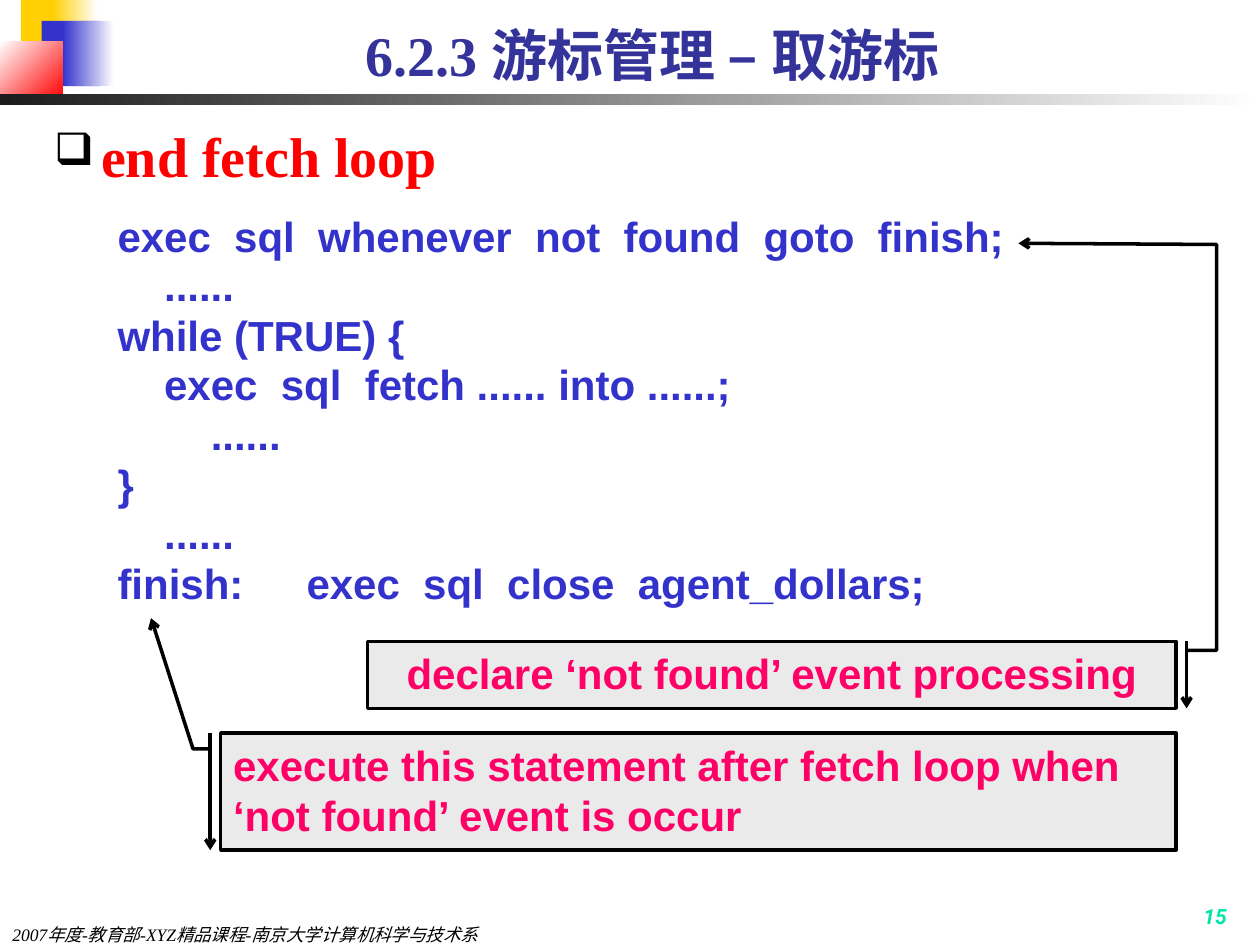
from dataclasses import dataclass
from typing import Optional

import pptx
import pptx.dml.color
import pptx.enum.shapes
import pptx.enum.text
import pptx.oxml
import pptx.oxml.ns
import pptx.util

Cm, Pt = pptx.util.Cm, pptx.util.Pt
SHAPE = pptx.enum.shapes.MSO_SHAPE
ALIGN = pptx.enum.text.PP_ALIGN
ANCHOR = pptx.enum.text.MSO_ANCHOR
qn = pptx.oxml.ns.qn

COLORS = {
    "white": "FFFFFF", "black": "000000", "yellow": "FFCF01",
    "blue": "3333CC", "red": "FF0000", "charcoal": "1C1C1C",
    "title": "333399", "number": "00E4A8", "pink": "FF0066", "gray": "EAEAEA",
}
TAB = Cm(3.48)
INDENT = 0.94  # cm per code level


@dataclass
class Box:
    left: float
    top: float
    width: float
    height: float

    def lengths(self) -> list:
        return [Cm(v) for v in (self.left, self.top, self.width, self.height)]


@dataclass
class Band:
    box: Box
    start: str
    end: Optional[str] = None
    angle: int = 0


@dataclass
class Style:
    size: int
    color: str
    font: str = "Arial"
    bold: bool = True
    italic: bool = False
    align: ALIGN = ALIGN.LEFT
    space_before: int = 0  # percent
    line_spacing: Optional[float] = None


@dataclass
class Callout:
    box: Box
    kind: SHAPE
    leader: tuple
    text: str
    align: ALIGN


def rgb(name: str) -> pptx.dml.color.RGBColor:
    return pptx.dml.color.RGBColor.from_string(COLORS[name])


def add_xml(parent, tag: str, **attributes):
    child = pptx.oxml.parse_xml(f"<a:{tag} {pptx.oxml.ns.nsdecls('a')}/>")
    for key, value in attributes.items():
        child.set(key, str(value))
    parent.append(child)
    return child


def draw_band(slide, band: Band) -> None:
    shape = slide.shapes.add_shape(SHAPE.RECTANGLE, *band.box.lengths())
    shape.shadow.inherit = False
    shape.line.fill.background()
    if band.end is None:
        shape.fill.solid()
        shape.fill.fore_color.rgb = rgb(band.start)
        return
    shape.fill.gradient()
    shape.fill.gradient_angle = (360 - band.angle) % 360
    for stop, color, position in zip(shape.fill.gradient_stops, (band.start, band.end), (0, 1)):
        stop.color.rgb = rgb(color)
        stop.position = position


def write_text(shape, text: str, style: Style, anchor: ANCHOR = ANCHOR.TOP) -> None:
    frame = shape.text_frame
    frame.text = text
    frame.word_wrap = True
    frame.vertical_anchor = anchor
    for paragraph in frame.paragraphs:
        paragraph.alignment = style.align
        paragraph.line_spacing = style.line_spacing
        if style.space_before:
            paragraph.space_before = Pt(0)
            before = paragraph._p.pPr.find(qn("a:spcBef"))
            before.remove(before[0])
            add_xml(before, "spcPct", val=style.space_before * 1000)
        for run in paragraph.runs:
            font = run.font
            font.name, font.size = style.font, Pt(style.size)
            font.bold, font.italic = style.bold, style.italic
            font.color.rgb = rgb(style.color)


def draw_text(slide, box: Box, text: str, style: Style, anchor: ANCHOR = ANCHOR.TOP):
    shape = slide.shapes.add_textbox(*box.lengths())
    write_text(shape, text, style, anchor)
    return shape


def draw_code(slide, box: Box, lines: list, style: Style) -> None:
    code = draw_text(slide, box, "\n".join(text for _, text in lines), style)
    code.fill.solid()
    code.fill.fore_color.rgb = rgb("white")
    for paragraph, (level, text) in zip(code.text_frame.paragraphs, lines):
        properties = paragraph._p.get_or_add_pPr()
        properties.set("marL", str(Cm(level * INDENT)))
        properties.set("indent", "0")
        if "\t" in text:
            add_xml(add_xml(properties, "tabLst"), "tab", pos=TAB, algn="l")


def draw_callout(slide, callout: Callout) -> None:
    shape = slide.shapes.add_shape(callout.kind, *callout.box.lengths())
    shape.shadow.inherit = False
    for index, value in enumerate(callout.leader):
        shape.adjustments[index] = value
    shape.fill.solid()
    shape.fill.fore_color.rgb = rgb("gray")
    shape.line.color.rgb = rgb("black")
    shape.line.width = Pt(2)
    add_xml(shape.line._get_or_add_ln(), "tailEnd", type="arrow")
    write_text(shape, callout.text, Style(24, "pink", align=callout.align, space_before=50))


BANDS = [
    Band(Box(0.42, 0, 1.22, 1.32), "yellow"),
    Band(Box(1.06, 0, 0.91, 1.32), "yellow", "white"),
    Band(Box(0.84, 0.42, 1.17, 1.32), "blue"),
    Band(Box(1.27, 0.42, 1.02, 1.32), "blue", "white"),
    Band(Box(0, 0.84, 1.27, 1.17), "white", "red", 45),
    Band(Box(0, 1.9, 25.4, 0.21), "charcoal", "white"),
]
# Indent level and text of each code line
CODE = [
    (0, "exec  sql  whenever  not  found  goto  finish;"),
    (1, "......"),
    (0, "while (TRUE) {"),
    (1, "exec  sql  fetch ...... into ......;"),
    (2, "......"),
    (0, "}"),
    (1, "......"),
    (0, "finish:\texec  sql  close  agent_dollars;"),
]
CALLOUTS = [
    Callout(Box(7.41, 12.93, 16.3, 1.35), SHAPE.LINE_CALLOUT_3_BORDER_AND_ACCENT_BAR,
            (0.135, 1.013, 0.135, 1.05, -5.927, 1.05, -5.944, 0.805),
            "declare ‘not found’ event processing", ALIGN.CENTER),
    Callout(Box(4.45, 14.78, 19.26, 2.36), SHAPE.LINE_CALLOUT_2_BORDER_AND_ACCENT_BAR,
            (0.135, -0.011, 0.135, -0.029, -0.983, -0.073),
            "execute this statement after fetch loop when ‘not found’ event is occur", ALIGN.LEFT),
]


def main() -> None:
    deck = pptx.Presentation()
    deck.slide_width, deck.slide_height = Cm(25.4), Cm(19.05)
    slide = deck.slides.add_slide(deck.slide_layouts[6])

    # Corner squares and header rule
    for band in BANDS:
        draw_band(slide, band)

    # Slide number and footer
    draw_text(slide, Box(19.69, 18.2, 5.29, 0.64), "15",
              Style(12, "number", "Roboto", italic=True, align=ALIGN.RIGHT), ANCHOR.BOTTOM)
    footer = draw_text(slide, Box(0, 18.63, 13.97, 0.42),
                       "2007年度-教育部-XYZ精品课程-南京大学计算机科学与技术系",
                       Style(10, "black", "Times New Roman", bold=False, italic=True))
    footer.text_frame.margin_top = footer.text_frame.margin_bottom = 0

    # Title and bulleted heading
    draw_text(slide, Box(2.33, 0.42, 21.64, 1.48), "6.2.3 游标管理 – 取游标",
              Style(32, "title", "Times New Roman", align=ALIGN.CENTER), ANCHOR.BOTTOM)
    heading = draw_text(slide, Box(0.84, 2.33, 21.59, 15.03), "end fetch loop",
                        Style(32, "red", "Times New Roman", space_before=20))
    bullet = heading.text_frame.paragraphs[0]._p.get_or_add_pPr()
    bullet.set("marL", str(Cm(0.95)))
    bullet.set("indent", str(-Cm(0.95)))
    add_xml(add_xml(bullet, "buClr"), "srgbClr", val=COLORS["black"])
    add_xml(bullet, "buSzPct", val=80000)
    add_xml(bullet, "buChar", char="❑")

    # Code and its explanations
    draw_code(slide, Box(2.12, 4.23, 21.17, 8.28), CODE,
              Style(24, "blue", space_before=10, line_spacing=0.9))
    for callout in CALLOUTS:
        draw_callout(slide, callout)

    deck.save("out.pptx")


if __name__ == "__main__":
    main()
